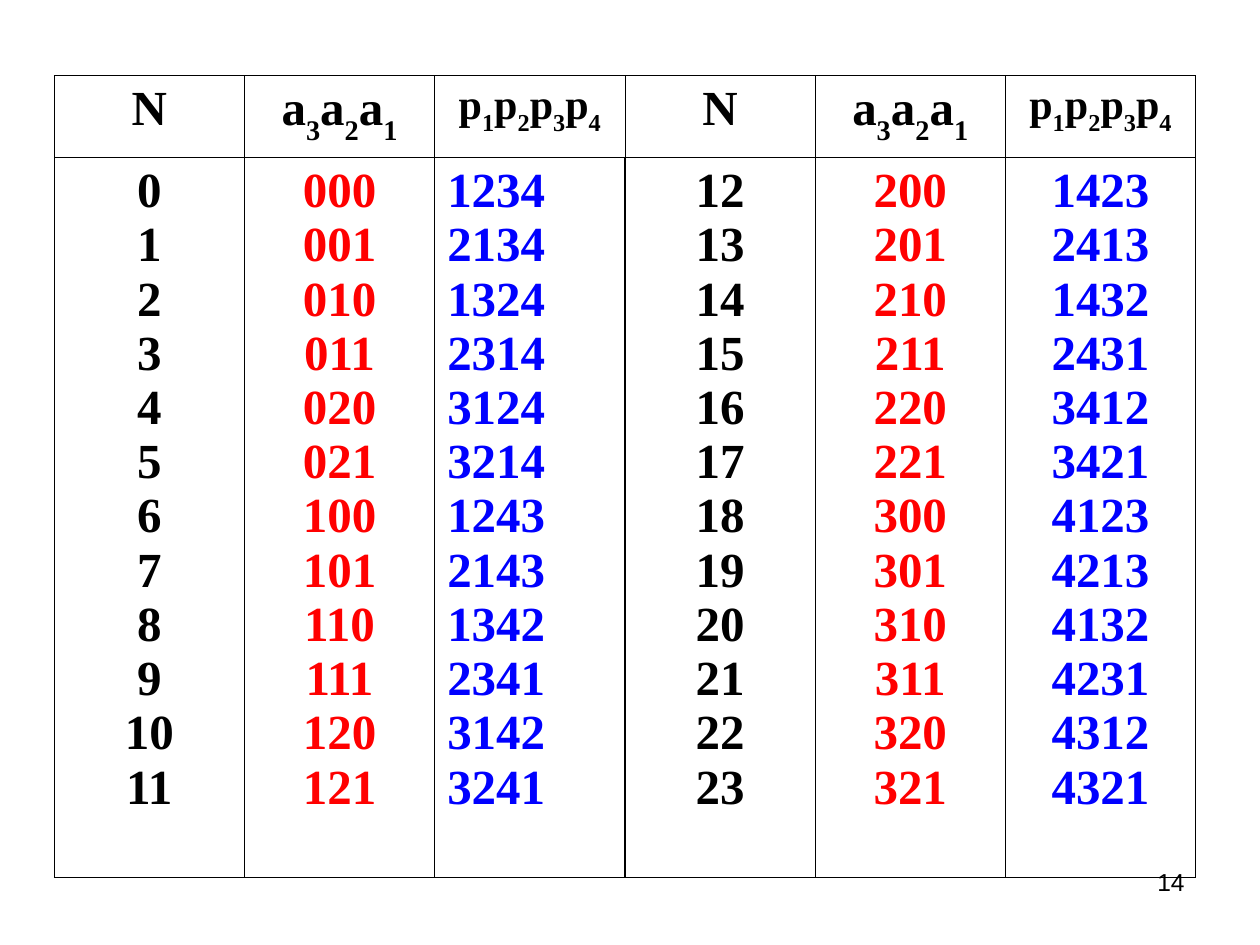
from dataclasses import dataclass

from lxml import etree
from pptx import Presentation
from pptx.dml.color import RGBColor
from pptx.enum.text import PP_ALIGN
from pptx.oxml.ns import qn
from pptx.util import Inches, Pt

CENTER, LEFT, RIGHT = PP_ALIGN.CENTER, PP_ALIGN.LEFT, PP_ALIGN.RIGHT
COLORS = {"black": "000000", "red": "FF0000", "blue": "0000FF"}
TABLE_FONT = "Times New Roman"
BODY_SIZE = 28
HANGING = Inches(0.38)
THIN, THICK = Pt(0.45), Pt(0.96)
COLUMN_WIDTH = Inches(1.51)
ROW_HEIGHTS = (Inches(0.65), Inches(5.71))
HALF = 12

PERMUTATIONS = (
    "1234 2134 1324 2314 3124 3214 1243 2143 1342 2341 3142 3241 "
    "1423 2413 1432 2431 3412 3421 4123 4213 4132 4231 4312 4321"
).split()


@dataclass
class Column:
    heading: str
    values: list[str]
    color: str = "black"
    heading_size: int = BODY_SIZE
    alignment: PP_ALIGN = CENTER


def factorial_digits(number: int) -> str:
    """Write a number as a3 a2 a1, where number = 6*a3 + 2*a2 + a1."""
    return f"{number // 6}{number % 6 // 2}{number % 2}"


def half_columns(start: int, permutation_alignment: PP_ALIGN) -> list[Column]:
    numbers = range(start, start + HALF)
    return [
        Column("N", [str(number) for number in numbers]),
        Column("a3a2a1", [factorial_digits(number) for number in numbers], "red"),
        Column("p1p2p3p4", PERMUTATIONS[start:start + HALF], "blue", 24,
               permutation_alignment),
    ]


def format_paragraph(paragraph, size: int, color: str, alignment: PP_ALIGN,
                     font_name: str, bold: bool) -> None:
    paragraph.alignment = alignment
    font = paragraph.font
    font.name, font.size, font.bold = font_name, Pt(size), bold
    font.color.rgb = RGBColor.from_string(COLORS[color])


def format_table_paragraph(paragraph, size: int, color: str,
                           alignment: PP_ALIGN) -> None:
    properties = paragraph._p.get_or_add_pPr()
    properties.set("marL", str(HANGING))
    properties.set("indent", str(-HANGING))
    format_paragraph(paragraph, size, color, alignment, TABLE_FONT, True)


def fill_heading(cell, column: Column) -> None:
    """Write the heading with its digits as subscripts."""
    paragraph = cell.text_frame.paragraphs[0]
    format_table_paragraph(paragraph, column.heading_size, "black", CENTER)
    for character in column.heading:
        run = paragraph.add_run()
        run.text = character
        if character.isdigit():
            run.font._element.set("baseline", "-30000")


def fill_values(cell, column: Column) -> None:
    cell.text_frame.text = "\n".join(column.values)
    for paragraph in cell.text_frame.paragraphs:
        format_table_paragraph(paragraph, BODY_SIZE, column.color, column.alignment)


def set_borders(cell, left: int = THIN, right: int = THIN) -> None:
    properties = cell._tc.get_or_add_tcPr()
    widths = {"a:lnL": left, "a:lnR": right, "a:lnT": THIN, "a:lnB": THIN}
    for tag, width in widths.items():
        line = etree.SubElement(properties, qn(tag), w=str(width))
        fill = etree.SubElement(line, qn("a:solidFill"))
        etree.SubElement(fill, qn("a:srgbClr"), val=COLORS["black"])
    cell.fill.background()


def add_permutation_table(slide, columns: list[Column]) -> None:
    table = slide.shapes.add_table(
        len(ROW_HEIGHTS), len(columns), Inches(0.43), Inches(0.6),
        COLUMN_WIDTH * len(columns), sum(ROW_HEIGHTS)).table
    table.first_row = table.horz_banding = False
    for row, height in zip(table.rows, ROW_HEIGHTS):
        row.height = height
    middle = len(columns) // 2
    for index, column in enumerate(columns):
        table.columns[index].width = COLUMN_WIDTH
        heading, body = table.cell(0, index), table.cell(1, index)
        fill_heading(heading, column)
        fill_values(body, column)
        set_borders(heading)
        set_borders(body,
                    left=THICK if index == middle else THIN,
                    right=THICK if index == middle - 1 else THIN)


def add_slide_number(slide, number: str) -> None:
    box = slide.shapes.add_textbox(Inches(7.17), Inches(6.83),
                                   Inches(2.33), Inches(0.52))
    box.text_frame.word_wrap = True
    box.text_frame.text = number
    format_paragraph(box.text_frame.paragraphs[0], 14, "black", RIGHT, "Arial", False)


def main() -> None:
    presentation = Presentation()
    presentation.slide_width, presentation.slide_height = Inches(10), Inches(7.5)
    slide = presentation.slides.add_slide(presentation.slide_layouts[6])
    add_slide_number(slide, "14")
    add_permutation_table(slide, half_columns(0, LEFT) + half_columns(HALF, CENTER))
    presentation.save("out.pptx")


if __name__ == "__main__":
    main()
